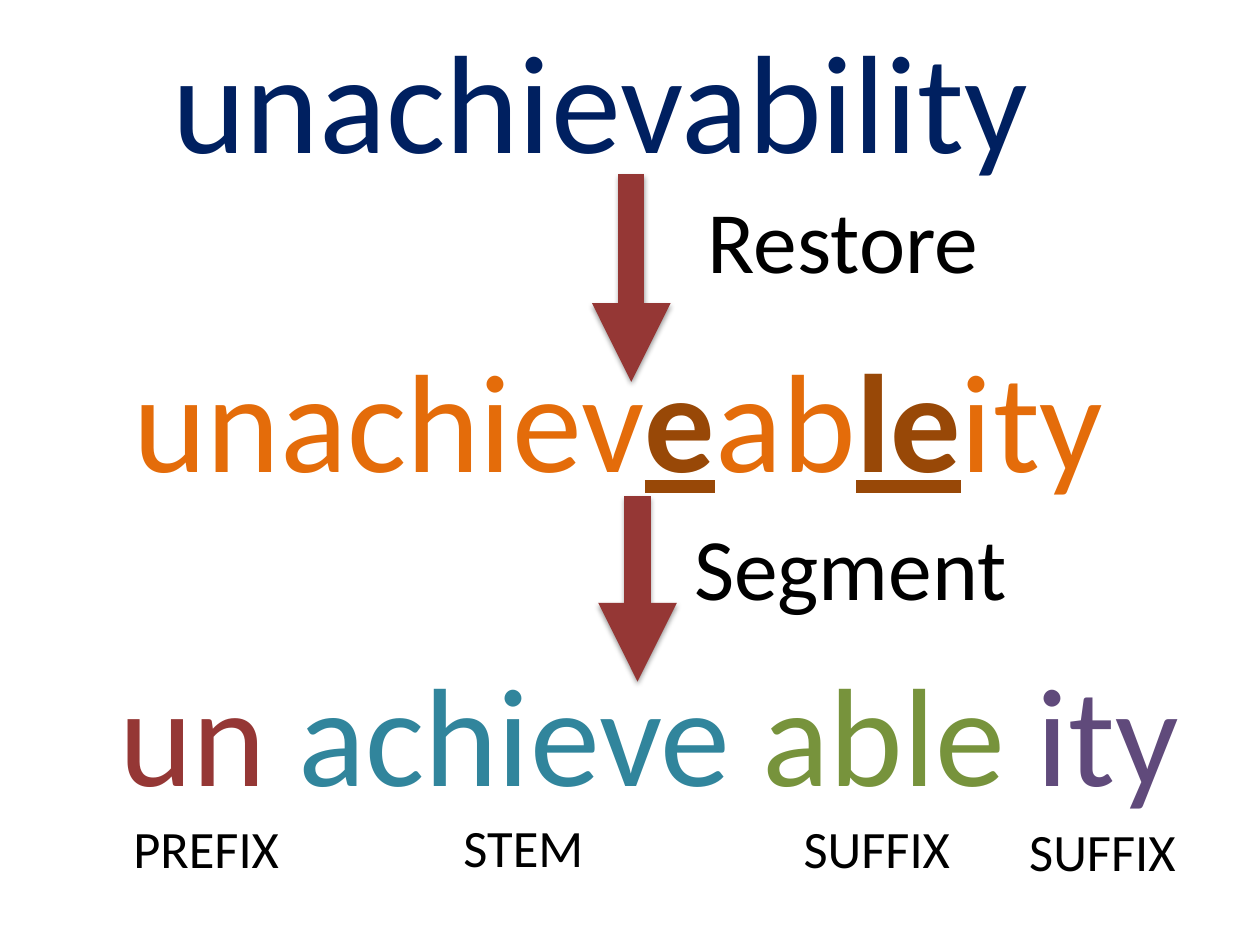
"""Build a slide that restores and segments the word unachievability."""
from lxml.etree import SubElement as Sub
from pptx import Presentation
from pptx.dml.color import RGBColor as Rgb
from pptx.enum.shapes import MSO_CONNECTOR as Conn
from pptx.enum.text import MSO_AUTO_SIZE as Auto
from pptx.oxml.ns import qn
from pptx.util import Inches, Pt

FONT = "Calibri"
NAVY, RED, TEAL, GREEN = "002060", "953735", "31859C", "77933C"
PURPLE, ORANGE, BROWN, BLACK = "604A7B", "E46C0A", "984807", "000000"

WORDS = [
    (12.7, 0.8, 74.7, [("unachievability", NAVY)]),
    (8.5, 67.73, 89.1, [("un ", RED), ("achieve ", TEAL),
                        ("able ", GREEN), ("ity", PURPLE)]),
    (9.6, 34.53, 89.1, [("unachiev", ORANGE), ("e", BROWN), ("ab", ORANGE),
                        ("le", BROWN), ("ity", ORANGE)]),
]
TAGS = [
    (35.8, 85.6, 11.6, "STEM"),
    (9.6, 85.73, 13.7, "PREFIX"),
    (62.8, 85.73, 13.7, "SUFFIX"),
    (80.7, 86, 13.7, "SUFFIX"),
]
STEPS = [
    (50.6, 52.53, 72.13, 54.1, 53.6, "Segment"),
    (50.1, 18.4, 40.4, 55.2, 19.07, "Restore"),
]

deck = Presentation()
deck.slide_width, deck.slide_height = Inches(10), Inches(7.5)
slide = deck.slides.add_slide(deck.slide_layouts[6])


def color(code):
    """Turn a hex string into a colour."""
    return Rgb.from_string(code)


def across(share):
    """Turn a percentage of the slide width into a length."""
    return round(deck.slide_width * share / 100)


def down(share):
    """Turn a percentage of the slide height into a length."""
    return round(deck.slide_height * share / 100)


def write(left, top, width, height, size, runs, wrap=True):
    """Add a text box; brown runs are the restored letters."""
    box = slide.shapes.add_textbox(
        across(left), down(top), across(width), down(height))
    frame = box.text_frame
    frame.word_wrap = wrap
    frame.auto_size = Auto.SHAPE_TO_FIT_TEXT
    for text, code in runs:
        run = frame.paragraphs[0].add_run()
        run.text = text
        font = run.font
        font.name, font.size = FONT, Pt(size)
        font.color.rgb = color(code)
        font.bold = font.underline = code == BROWN


def arrow(x, top, end):
    """Add a thick downward arrow with a soft shadow."""
    line = slide.shapes.add_connector(
        Conn.STRAIGHT, across(x), down(top), across(x), down(end))
    line.line.width = Pt(15)
    line.line.color.rgb = color(RED)
    props = line.line._get_or_add_ln()
    Sub(props, qn("a:tailEnd"), type="triangle")
    effects = Sub(props.getparent(), qn("a:effectLst"))
    shade = Sub(effects, qn("a:outerShdw"), blurRad=str(Pt(3.1)),
                dist=str(Pt(1.6)), dir="5400000", rotWithShape="0")
    tint = Sub(shade, qn("a:srgbClr"), val=BLACK)
    Sub(tint, qn("a:alpha"), val="38000")


for left, top, width, runs in WORDS:
    write(left, top, width, 19.33, 80, runs)
for left, top, width, text in TAGS:
    write(left, top, width, 8.13, 30, [(text, BLACK)], wrap=False)
for x, start, end, left, top, text in STEPS:
    arrow(x, start, end)
    write(left, top, 27.1, 12.53, 50, [(text, BLACK)])

deck.save("out.pptx")
